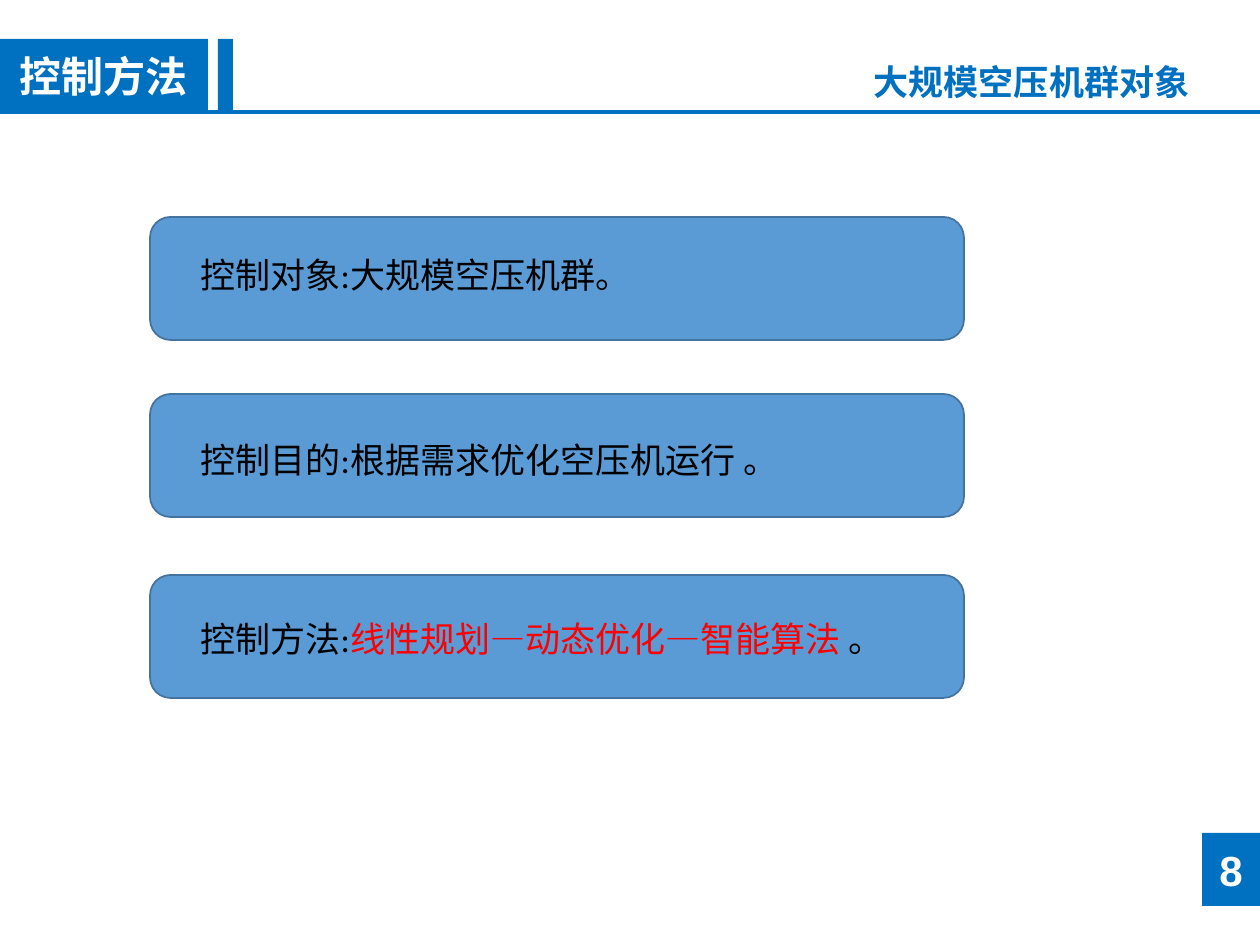
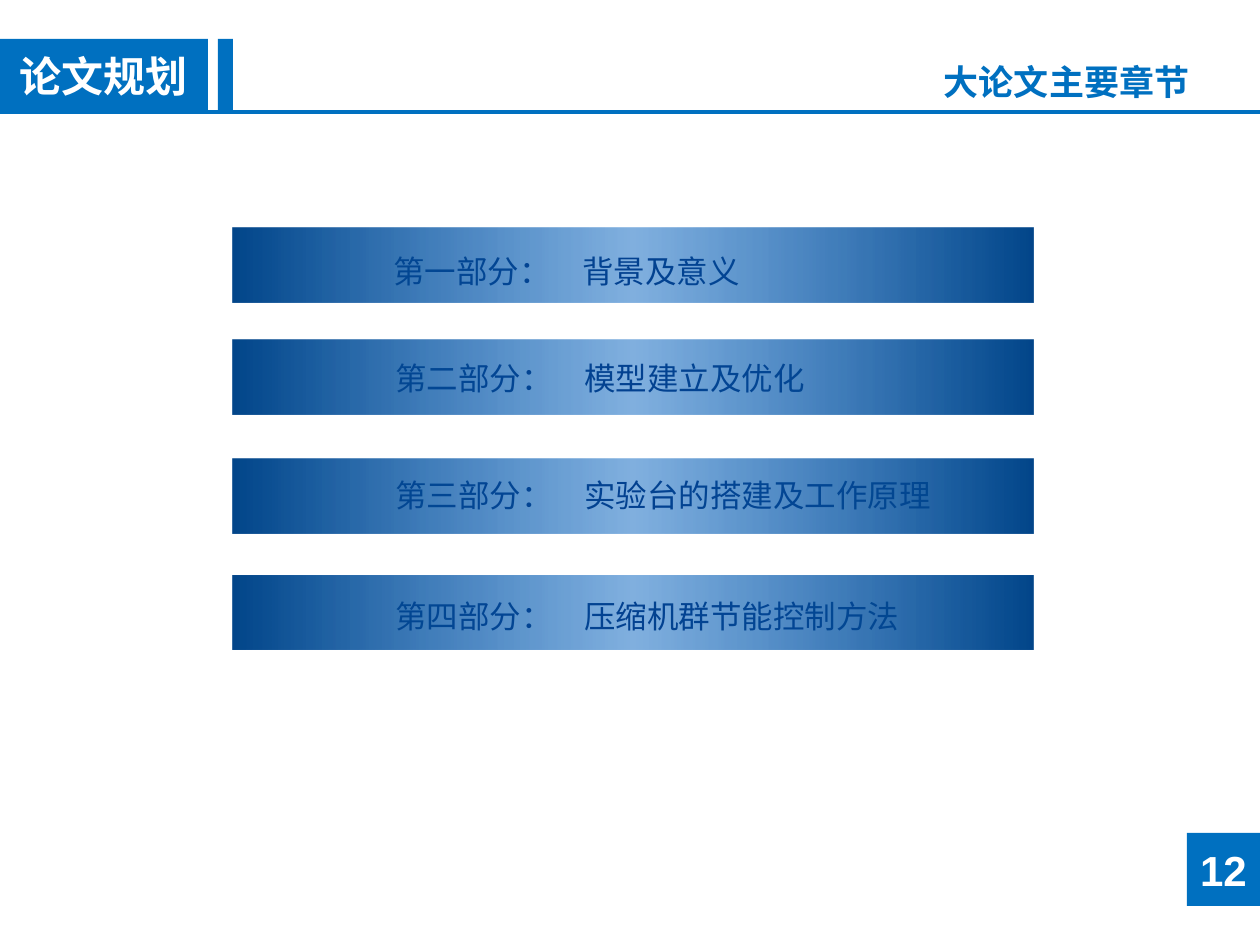
from lxml import etree
from pptx import Presentation
from pptx.dml.color import RGBColor as Rgb
from pptx.enum.shapes import MSO_CONNECTOR as Conn, MSO_SHAPE as Shape
from pptx.enum.text import MSO_ANCHOR as Anchor, MSO_AUTO_SIZE as Auto, PP_ALIGN as Align
from pptx.oxml.ns import qn
from pptx.util import Pt

SCALE = 914400 / 126
WIDE, HIGH = 1260, 945
HEX = {"brand": "0070C0", "card": "5B9BD5", "edge": "43739E", "bar": "0563C1",
       "navy": "002060", "black": "000000", "red": "FF0000", "white": "FFFFFF"}


def emu(*sizes):
    """Turn pixels into EMU."""
    return [round(size * SCALE) for size in sizes]


def color(name):
    """Look up a named colour."""
    return Rgb.from_string(HEX[name])


def style(run, size, name, font, bold=False):
    """Format one run."""
    run.font.size, run.font.name, run.font.bold = Pt(size), font, bold
    run.font.color.rgb = color(name)


def block(shapes, box, fill=None, kind=Shape.RECTANGLE, edge=None):
    """Add a flat shape."""
    shape = shapes.add_shape(kind, *emu(*box))
    shape.shadow.inherit = False
    if fill:
        shape.fill.solid()
        shape.fill.fore_color.rgb = color(fill)
    if edge:
        shape.line.color.rgb = color(edge)
        shape.line.width = Pt(1)
    else:
        shape.line.fill.background()
    return shape


def badge(shapes, box, text):
    """Add a blue block with centred bold white text."""
    frame = block(shapes, box, "brand").text_frame
    frame.text = text
    frame.vertical_anchor = Anchor.MIDDLE
    para = frame.paragraphs[0]
    para.alignment = Align.CENTER
    style(para.runs[0], 24, "white", "Arial", True)


def label(slide, box, parts, size):
    """Add a text box from (text, colour) parts."""
    frame = slide.shapes.add_textbox(*emu(*box)).text_frame
    frame.word_wrap = True
    frame.auto_size = Auto.SHAPE_TO_FIT_TEXT
    for text, name in parts:
        run = frame.paragraphs[0].add_run()
        run.text = text
        style(run, size, name, "Calibri")


def header(slide, box, tag, text):
    """Place the section tag, the title and the rule below them."""
    left, top, width, height = box
    group = slide.shapes.add_group_shape()
    badge(group.shapes, (left, top, 208, height), tag)
    block(group.shapes, (left + 218, top, 15, height), "brand")

    base = top + height
    rule = slide.shapes.add_connector(
        Conn.STRAIGHT, *emu(left, base, left + width, base))
    rule.line.color.rgb = color("brand")
    rule.line.width = Pt(2)
    etree.SubElement(rule._element.spPr, qn("a:effectLst"))

    title = slide.shapes.title
    title.left, title.top, title.width, title.height = emu(
        left + width - 559, top + 15, 501, 55)
    frame = title.text_frame
    frame.text = text
    frame.word_wrap = True
    frame.auto_size = Auto.SHAPE_TO_FIT_TEXT
    frame.vertical_anchor = Anchor.TOP
    para = frame.paragraphs[0]
    para.alignment = Align.RIGHT
    style(para.runs[0], 20, "brand", "Arial", True)


def card(slide, box, drop, parts):
    """Add a rounded card with its statement, drop pixels below its top."""
    left, top = box[:2]
    block(slide.shapes, box, "card", Shape.ROUNDED_RECTANGLE, "edge")
    label(slide, (left + 38, top + drop, 840, 55), parts, 20)


def chapter(slide, box, shift, drop, part, name, width):
    """Add a chapter line under a see-through gradient bar."""
    left, top = box[0] + shift, box[1] + drop
    label(slide, (left, top, 190, 50), [(part, "navy")], 18)
    label(slide, (left + 189, top, width, 50), [(name, "navy")], 18)
    fill = block(slide.shapes, box).fill
    fill.gradient()
    fill.gradient_angle = 0
    stops = fill._fill._gradFill.find(qn("a:gsLst"))
    for old in list(stops):
        stops.remove(old)
    for place, effect, value in ((0, "shade", 46275), (50000, "alpha", 50000),
                                 (100000, "shade", 46275)):
        stop = etree.SubElement(stops, qn("a:gs"), pos=str(place))
        tint = etree.SubElement(stop, qn("a:srgbClr"), val=HEX["bar"])
        etree.SubElement(tint, qn("a:" + effect), val=str(value))


def page(deck, tag, text, number, width):
    """Add a slide with the shared header and page number."""
    slide = deck.slides.add_slide(deck.slide_layouts[5])
    header(slide, (0, 39, WIDE, 73), tag, text)
    badge(slide.shapes, (WIDE - width, 833, width, 73), number)
    return slide


def method(deck):
    """Build the control method slide."""
    slide = page(deck, "控制方法", "大规模空压机群对象", "8", 58)
    rows = [
        (217, 30, [("控制对象:大规模空压机群。".replace(":", ":"), "black")]),
        (394, 38, [("控制目的:根据需求优化空压机运行 。".replace(":", ":"), "black")]),
        (575, 36, [("控制方法:".replace(":", ":"), "black"),
                   ("线性规划—动态优化—智能算法 ", "red"), ("。", "black")]),
    ]
    for top, drop, parts in rows:
        card(slide, (150, top, 814, 123), drop, parts)


def plan(deck):
    """Build the thesis plan slide."""
    slide = page(deck, "论文规划", "大论文主要章节", "12", 73)
    rows = [(228, 148, 18, "一", "背景及意义", 257),
            (340, 150, 13, "二", "模型建立及优化", 257),
            (459, 150, 11, "三", "实验台的搭建及工作原理", 423),
            (576, 150, 15, "四", "压缩机群节能控制方法", 509)]
    for top, shift, drop, count, name, width in rows:
        chapter(slide, (233, top, 800, 74), shift, drop,
                f"第{count}部分\uff1a", name, width)


deck = Presentation()
deck.slide_width, deck.slide_height = emu(WIDE, HIGH)
method(deck)
plan(deck)
deck.save("out.pptx")
